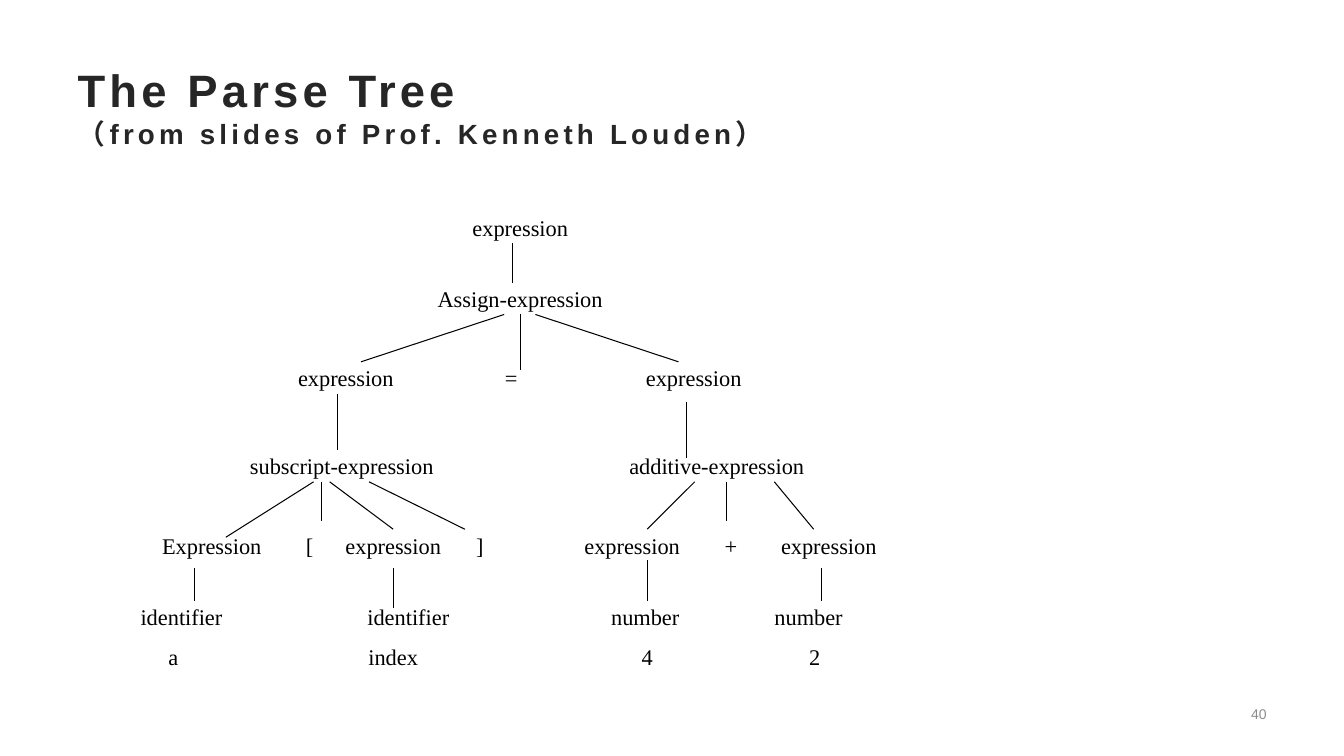
"""Build a slide showing the parse tree of an assignment expression."""
from dataclasses import dataclass

from lxml.etree import SubElement
from pptx import Presentation
from pptx.dml.color import RGBColor
from pptx.enum.shapes import MSO_CONNECTOR
from pptx.enum.text import MSO_ANCHOR, MSO_AUTO_SIZE, PP_ALIGN
from pptx.oxml.ns import qn
from pptx.shapes.autoshape import Shape
from pptx.slide import Slide
from pptx.text.text import Font
from pptx.util import Inches, Pt

COLORS = {"title": "262626", "tree": "000000", "number": "8C8C8C"}
NODE_HEIGHT = 0.32
CHARACTER_WIDTH = 0.12


@dataclass(frozen=True)
class Node:
    """A tree label and the middle of its box on the horizontal axis."""
    label: str
    center: float


@dataclass(frozen=True)
class Level:
    """A row of nodes sharing one top edge."""
    top: float
    nodes: tuple[Node, ...]


@dataclass(frozen=True)
class Branch:
    """A line from a parent to a child."""
    start: tuple[float, float]
    end: tuple[float, float]


Joints = dict[tuple[float, float], tuple[Shape, int]]

LEVELS = (
    Level(2.10, (Node("expression", 5.16),)),
    Level(2.80, (Node("Assign-expression", 5.16),)),
    Level(3.59, (Node("expression", 3.43), Node("=", 5.07), Node("expression", 6.88))),
    Level(4.46, (Node("subscript-expression", 3.39), Node("additive-expression", 7.11))),
    Level(5.25, (Node("Expression", 2.10), Node("[", 3.07), Node("expression", 3.90),
                 Node("]", 4.76), Node("expression", 6.27), Node("+", 7.25),
                 Node("expression", 8.22))),
    Level(5.96, (Node("identifier", 1.80), Node("identifier", 4.05),
                 Node("number", 6.40), Node("number", 8.02))),
    Level(6.35, (Node("a", 1.72), Node("index", 3.90), Node("4", 6.42), Node("2", 8.08))),
)

BRANCHES = (
    Branch((5.08, 2.41), (5.08, 2.81)),
    Branch((5.00, 3.12), (3.58, 3.59)),
    Branch((5.16, 3.12), (5.16, 3.67)),
    Branch((5.31, 3.12), (6.73, 3.59)),
    Branch((3.35, 3.91), (3.35, 4.46)),
    Branch((3.11, 4.78), (2.24, 5.33)),
    Branch((3.19, 4.78), (3.19, 5.17)),
    Branch((3.27, 4.78), (3.90, 5.25)),
    Branch((3.66, 4.78), (4.61, 5.25)),
    Branch((6.81, 3.99), (6.81, 4.54)),
    Branch((6.89, 4.78), (6.42, 5.25)),
    Branch((7.21, 4.78), (7.21, 5.17)),
    Branch((7.68, 4.78), (8.07, 5.25)),
    Branch((1.93, 5.64), (1.93, 5.96)),
    Branch((3.90, 5.64), (3.90, 6.03)),
    Branch((6.42, 5.56), (6.42, 5.96)),
    Branch((8.15, 5.64), (8.15, 5.96)),
)


def format_font(font: Font, name: str, size: float, color: str) -> None:
    """Set the typeface, size and colour of a font."""
    font.name = name
    font.size = Pt(size)
    font.color.rgb = RGBColor.from_string(COLORS[color])


def add_title(page: Slide) -> None:
    """Fill and place the two-line title."""
    title = page.shapes.title
    title.left, title.top = Inches(0.67), Inches(0.67)
    title.width, title.height = Inches(12), Inches(0.77)
    frame = title.text_frame
    frame.auto_size = MSO_AUTO_SIZE.NONE
    frame.vertical_anchor = MSO_ANCHOR.MIDDLE
    frame.text = "The Parse Tree\v（from slides of Prof. Kenneth Louden）"
    para = frame.paragraphs[0]
    para.alignment = PP_ALIGN.LEFT
    for span, size in zip(para.runs, (32.4, 19.8)):
        format_font(span.font, "Arial", size, "title")
        span.font.bold = True
        span.font._element.set("spc", "300")


def add_label(page: Slide, text: str, left: float, top: float, width: float,
              height: float, alignment: PP_ALIGN) -> Shape:
    """Add a vertically centred, single-line text box."""
    box = page.shapes.add_textbox(Inches(left), Inches(top), Inches(width), Inches(height))
    frame = box.text_frame
    frame.word_wrap = False
    frame.vertical_anchor = MSO_ANCHOR.MIDDLE
    frame.text = text
    frame.paragraphs[0].alignment = alignment
    return box


def add_nodes(page: Slide) -> Joints:
    """Add every tree label and return the middles of their top and bottom sides."""
    joints: Joints = {}
    for level in LEVELS:
        for node in level.nodes:
            width = CHARACTER_WIDTH * (len(node.label) + 1)
            box = add_label(page, node.label, node.center - width / 2, level.top,
                            width, NODE_HEIGHT, PP_ALIGN.CENTER)
            frame = box.text_frame
            frame.margin_left = frame.margin_right = 0
            frame.margin_top = frame.margin_bottom = 0
            format_font(frame.paragraphs[0].runs[0].font, "Times New Roman", 16, "tree")
            joints[node.center, level.top] = (box, 0)
            joints[node.center, round(level.top + NODE_HEIGHT, 2)] = (box, 2)
    return joints


def add_branch(page: Slide, branch: Branch, joints: Joints) -> None:
    """Draw a branch, joined to a node wherever it meets the middle of a side."""
    ends = [Inches(value) for value in (*branch.start, *branch.end)]
    line = page.shapes.add_connector(MSO_CONNECTOR.STRAIGHT, *ends)
    line.line.width = Pt(0.75)
    line.line.color.rgb = RGBColor.from_string(COLORS["tree"])
    SubElement(line._element.spPr, qn("a:effectLst"))
    if branch.start in joints:
        line.begin_connect(*joints[branch.start])
    if branch.end in joints:
        line.end_connect(*joints[branch.end])


def main() -> None:
    """Assemble and save the deck."""
    deck = Presentation()
    deck.slide_width, deck.slide_height = Inches(13.33), Inches(7.5)
    page = deck.slides.add_slide(deck.slide_layouts[5])
    add_title(page)
    joints = add_nodes(page)
    for branch in BRANCHES:
        add_branch(page, branch, joints)
    number = add_label(page, "40", 9.71, 6.91, 2.95, 0.35, PP_ALIGN.RIGHT)
    number.text_frame.word_wrap = True
    format_font(number.text_frame.paragraphs[0].runs[0].font, "Arial", 10, "number")
    deck.save("out.pptx")


if __name__ == "__main__":
    main()
